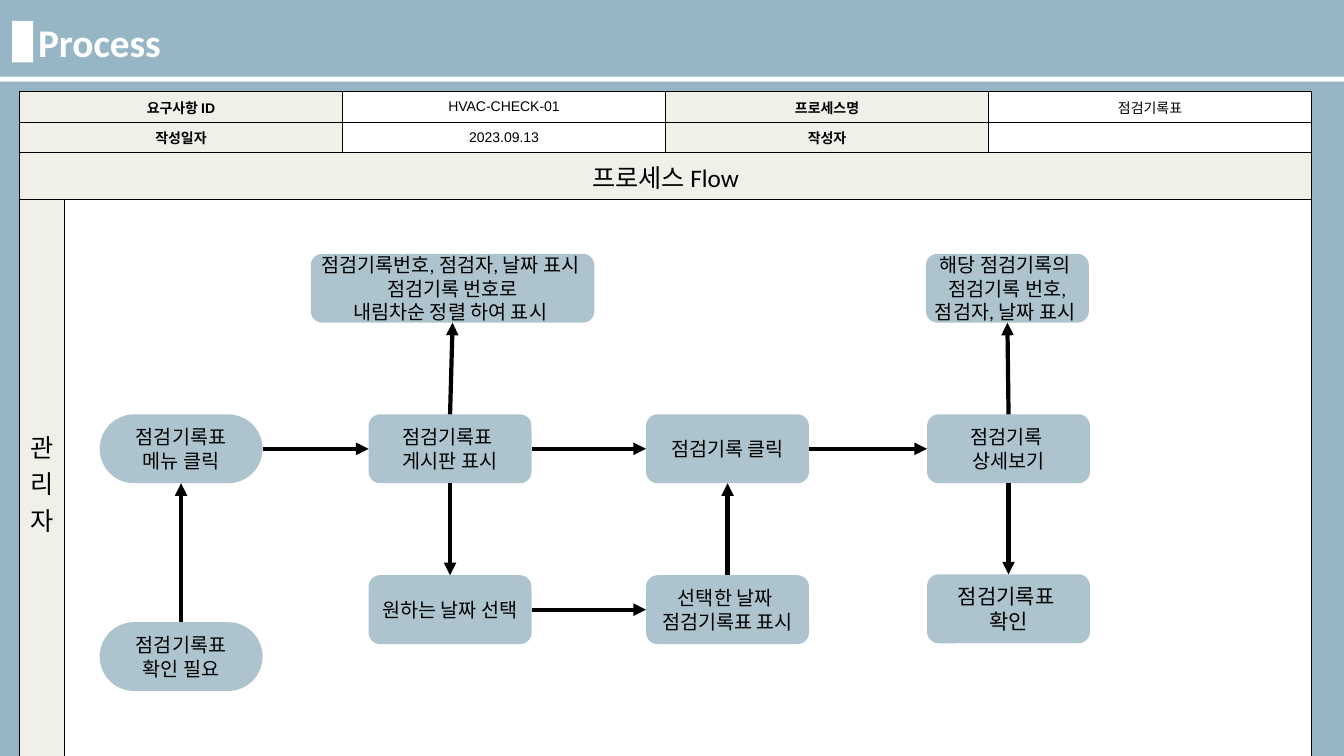
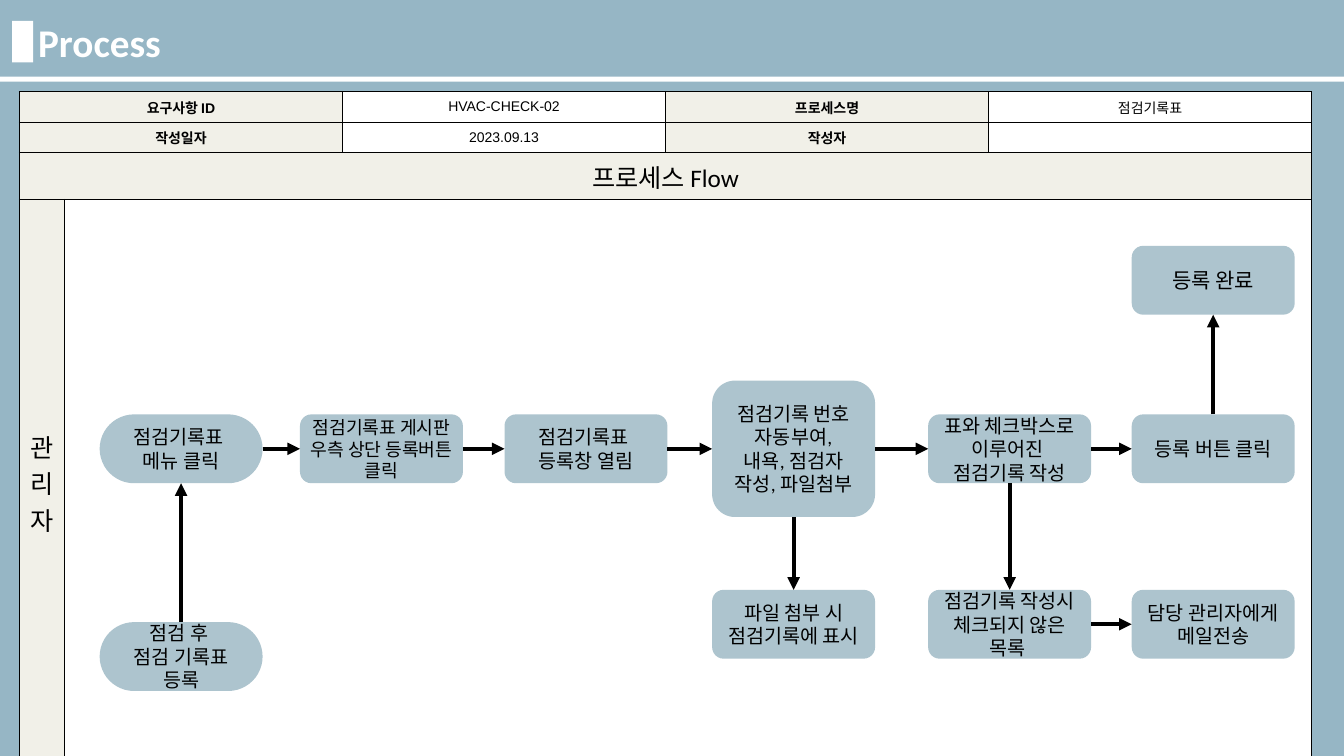
"""Build two process-flow slides with a header table and a connected flow chart."""
from lxml import etree
from pptx import Presentation
from pptx import util as u
from pptx.dml.color import RGBColor
from pptx.enum import shapes, text
from pptx.oxml import ns

BACKDROP = RGBColor(0x96, 0xB6, 0xC5)
STEP_FILL = RGBColor(0xAD, 0xC4, 0xCE)
LABEL_FILL = RGBColor(0xF1, 0xF0, 0xE8)
WHITE = RGBColor(0xFF, 0xFF, 0xFF)
BLACK = RGBColor(0, 0, 0)

SLIDE_SIZE = (960, 540)
TITLE = "Process"
TITLE_BOX = (20.2, 9.4, 862, 41)
TITLE_BARS = [(8.6, 15, 15.1, 29.5), (0, 54.7, 960, 3.6)]

TABLE_LEFT, TABLE_TOP, TABLE_WIDTH = 13.9, 65.6, 923
LANE_WIDTH = 32.4
ROW_HEIGHTS = [21.8, 21.8, 32.8, 405]
MERGES = [((0, 0), (0, 1)), ((1, 0), (1, 1)), ((2, 0), (2, 4)), ((3, 1), (3, 4))]
LABEL_CELLS = {(0, 0), (0, 3), (1, 0), (1, 3), (2, 0), (3, 0)}

STEP_WIDTH, STEP_HEIGHT = 116.4, 49.2
START_X, MAIN_Y, START_Y = 129.4, 320.6, 469
BOARD_X, CLICK_X, DETAIL_X = 321.5, 519.7, 720.4
NOTE_Y, CHOICE_Y = 205.9, 435.5
LIST_X, FORM_X, NUMBER_X, CHECK_X, DONE_X = 272.5, 418.6, 566.9, 721.2, 866.6
DONE_Y, RESULT_Y = 200.2, 445.9
PILL = {"pill": True}

FLOWS = [
    {
        "id": "HVAC-CHECK-01",
        "steps": {
            "need": (START_X, START_Y, ["점검기록표", "확인 필요"], PILL),
            "menu": (START_X, MAIN_Y, ["점검기록표", "메뉴 클릭"], PILL),
            "board": (BOARD_X, MAIN_Y, ["점검기록표 ", "게시판 표시"], {}),
            "order": (323.3, NOTE_Y, ["점검기록번호, 점검자, 날짜 표시 ", "점검기록 번호로",
                                      "내림차순 정렬 하여 표시 "], {"width": 202.5}),
            "date": (BOARD_X, CHOICE_Y, ["원하는 날짜 선택"], {}),
            "chosen": (CLICK_X, CHOICE_Y, ["선택한 날짜 ", "점검기록표 표시"], {}),
            "click": (CLICK_X, MAIN_Y, ["점검기록 클릭"], {}),
            "detail": (DETAIL_X, MAIN_Y, ["점검기록 ", "상세보기"], {}),
            "fields": (719.6, NOTE_Y, ["해당 점검기록의 ", "점검기록 번호,",
                                       "점검자, 날짜 표시 "], {}),
            "confirm": (DETAIL_X, 434.9, ["점검기록표 ", "확인"], {"size": 15}),
        },
        "arrows": [("need", "menu"), ("menu", "board"), ("board", "order"),
                   ("board", "date"), ("date", "chosen"), ("chosen", "click"),
                   ("board", "click"), ("click", "detail"), ("detail", "fields"),
                   ("detail", "confirm")],
    },
    {
        "id": "HVAC-CHECK-02",
        "steps": {
            "need": (START_X, START_Y, ["점검 후 ", "점검 기록표 등록"], PILL),
            "menu": (START_X, MAIN_Y, ["점검기록표 ", "메뉴 클릭"], PILL),
            "board": (LIST_X, MAIN_Y, ["점검기록표 게시판", "우측 상단 등록버튼", "클릭"],
                      {"size": 13}),
            "form": (FORM_X, MAIN_Y, ["점검기록표 ", "등록창 열림"], {}),
            "number": (NUMBER_X, MAIN_Y, ["점검기록 번호", "자동부여,", " 내욕, 점검자 ",
                                          "작성, 파일첨부"], {"height": 97.4}),
            "file": (NUMBER_X, RESULT_Y, ["파일 첨부 시", "점검기록에 표시"], {}),
            "checks": (CHECK_X, MAIN_Y, ["표와 체크박스로", "이루어진 ", "점검기록 작성"], {}),
            "missing": (CHECK_X, RESULT_Y, ["점검기록 작성시", "체크되지 않은", "목록 "], {}),
            "mail": (DONE_X, RESULT_Y, ["담당 관리자에게", "메일전송"], {}),
            "register": (DONE_X, MAIN_Y, ["등록 버튼 클릭"], {}),
            "done": (DONE_X, DONE_Y, ["등록 완료"], {"size": 15}),
        },
        "arrows": [("need", "menu"), ("menu", "board"), ("board", "form"),
                   ("form", "number"), ("number", "file"), ("number", "checks"),
                   ("checks", "missing"), ("missing", "mail"),
                   ("checks", "register"), ("register", "done")],
    },
]


def points(values):
    return [u.Pt(value) for value in values]


def write(paragraph, content, color=BLACK, **formats):
    run = paragraph.add_run()
    run.text = content
    run.font.color.rgb = color
    for name, value in formats.items():
        setattr(run.font, name, value)


def add_block(slide, kind, box, color):
    shape = slide.shapes.add_shape(kind, *points(box))
    shape.shadow.inherit = False
    shape.fill.solid()
    shape.fill.fore_color.rgb = color
    shape.line.fill.background()
    return shape


def add_title(slide):
    frame = slide.shapes.add_textbox(*points(TITLE_BOX)).text_frame
    frame.word_wrap = True
    write(frame.paragraphs[0], TITLE, WHITE, name="Calibri", size=u.Pt(28), bold=True)
    for bar in TITLE_BARS:
        add_block(slide, shapes.MSO_SHAPE.RECTANGLE, bar, WHITE)


def add_borders(cell):
    properties = cell._tc.get_or_add_tcPr()
    for index, side in enumerate("LRTB"):
        border = etree.Element(ns.qn(f"a:ln{side}"), w=str(u.Pt(1)))
        fill = etree.SubElement(border, ns.qn("a:solidFill"))
        etree.SubElement(fill, ns.qn("a:srgbClr"), val=str(BLACK))
        properties.insert(index, border)


def add_table(slide, requirement):
    rows = [
        ["요구사항 ID", "", requirement, "프로세스명", "점검기록표"],
        ["작성일자", "", "2023.09.13", "작성자", ""],
        ["프로세스 Flow", "", "", "", ""],
        ["관리자", "", "", "", ""],
    ]
    quarter = TABLE_WIDTH / 4
    widths = [LANE_WIDTH, quarter - LANE_WIDTH] + [quarter] * 3
    box = (TABLE_LEFT, TABLE_TOP, TABLE_WIDTH, sum(ROW_HEIGHTS))
    table = slide.shapes.add_table(len(rows), len(widths), *points(box)).table
    table.first_row = table.horz_banding = False
    for column, width in zip(table.columns, widths):
        column.width = u.Pt(width)
    for row, height in zip(table.rows, ROW_HEIGHTS):
        row.height = u.Pt(height)
    for row_index, row in enumerate(rows):
        font, size = ("Arial", 10) if row_index < 2 else ("Calibri", 18)
        for column_index, content in enumerate(row):
            cell = table.cell(row_index, column_index)
            is_label = (row_index, column_index) in LABEL_CELLS
            cell.fill.solid()
            cell.fill.fore_color.rgb = LABEL_FILL if is_label else WHITE
            cell.vertical_anchor = text.MSO_ANCHOR.MIDDLE
            add_borders(cell)
            paragraph = cell.text_frame.paragraphs[0]
            paragraph.alignment = text.PP_ALIGN.CENTER
            if content:
                write(paragraph, content, name=font, size=u.Pt(size),
                      bold=is_label and row_index < 2)
            else:
                etree.SubElement(paragraph._p, ns.qn("a:endParaRPr"), sz=str(size * 100))
    for first, last in MERGES:
        table.cell(*first).merge(table.cell(*last))


def add_step(slide, center_x, center_y, lines, options):
    width = options.get("width", STEP_WIDTH)
    height = options.get("height", STEP_HEIGHT)
    box = (center_x - width / 2, center_y - height / 2, width, height)
    shape = add_block(slide, shapes.MSO_SHAPE.ROUNDED_RECTANGLE, box, STEP_FILL)
    is_pill = options.get("pill", False)
    if is_pill:
        shape.adjustments[0] = 0.5
    frame = shape.text_frame
    frame.word_wrap = is_pill
    frame.vertical_anchor = text.MSO_ANCHOR.MIDDLE
    for index, line in enumerate(lines):
        paragraph = frame.add_paragraph() if index else frame.paragraphs[0]
        paragraph.alignment = text.PP_ALIGN.CENTER
        write(paragraph, line, name="Calibri", size=u.Pt(options.get("size", 14)))
    return shape


def add_arrow(slide, source, target):
    top, left, bottom, right = range(4)
    if target.left > source.left + source.width:
        sides = (right, left)
    elif target.top > source.top:
        sides = (bottom, top)
    else:
        sides = (top, bottom)
    arrow = slide.shapes.add_connector(shapes.MSO_CONNECTOR.STRAIGHT, 0, 0, 0, 0)
    arrow.begin_connect(source, sides[0])
    arrow.end_connect(target, sides[1])
    arrow.line.color.rgb = BLACK
    arrow.line.width = u.Pt(3)
    properties = arrow._element.spPr
    etree.SubElement(properties.find(ns.qn("a:ln")), ns.qn("a:tailEnd"), type="triangle")
    etree.SubElement(properties, ns.qn("a:effectLst"))


def main():
    presentation = Presentation()
    presentation.slide_width, presentation.slide_height = points(SLIDE_SIZE)
    layout = presentation.slide_layouts[6]
    for flow in FLOWS:
        slide = presentation.slides.add_slide(layout)
        slide.background.fill.solid()
        slide.background.fill.fore_color.rgb = BACKDROP
        add_table(slide, flow["id"])
        add_title(slide)
        steps = {name: add_step(slide, *step) for name, step in flow["steps"].items()}
        for source, target in flow["arrows"]:
            add_arrow(slide, steps[source], steps[target])
    presentation.save("out.pptx")


main()
